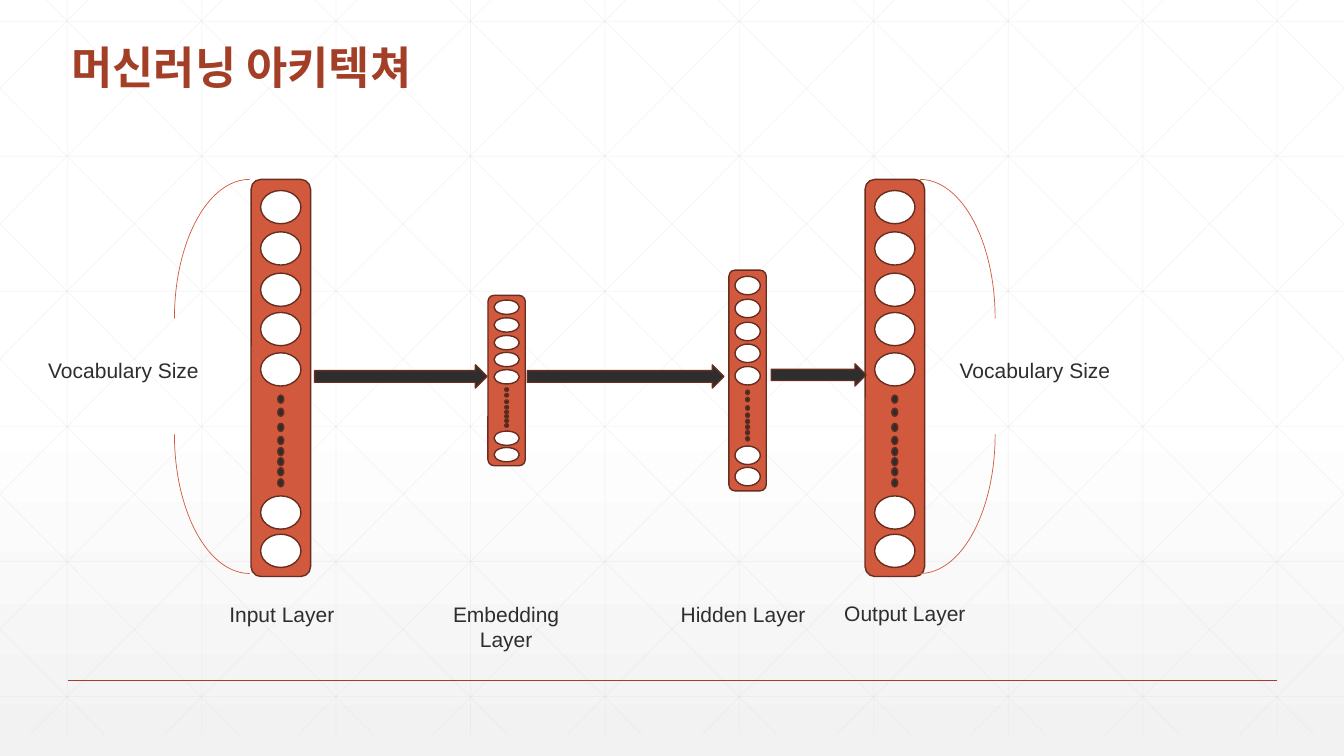
from lxml import etree
from pptx import Presentation
from pptx.dml.color import RGBColor
from pptx.enum.shapes import MSO_CONNECTOR, MSO_SHAPE
from pptx.enum.text import MSO_ANCHOR, PP_ALIGN
from pptx.oxml.ns import qn
from pptx.util import Inches, Pt

STRAIGHT = MSO_CONNECTOR.STRAIGHT
ARC, ARROW, OVAL = MSO_SHAPE.ARC, MSO_SHAPE.RIGHT_ARROW, MSO_SHAPE.OVAL
ROUNDED = MSO_SHAPE.ROUNDED_RECTANGLE
LEFT, CENTER = PP_ALIGN.LEFT, PP_ALIGN.CENTER
TOP, BOTTOM = MSO_ANCHOR.TOP, MSO_ANCHOR.BOTTOM

COLORS = {
    "white": "FFFFFF", "mist": "F2F2F2", "grid": "D9D9D9", "title": "A43F27",
    "layer": "D15A3E", "edge": "682D1F", "dark": "2D2E2D",
}
WIDTH, HEIGHT = 13.33, 7.5
GRID_TOP, GRID_BOTTOM, GRID_STEP = -0.21, 7.29, 4 / 3
DIAGONAL_RUN = 7.455

FULL_WIDTH, FULL_HEIGHT = 0.59, 3.94
NODE_OFFSETS = (0.11, 0.52, 0.93, 1.32, 1.72, 3.14, 3.52)
DOT_OFFSETS = (2.14, 2.27, 2.42, 2.55, 2.66, 2.76, 2.86, 2.97)
LAYERS = (
    (2.49, 1.78, 0.59, 3.94), (7.23, 2.68, 0.37, 2.19),
    (4.84, 2.93, 0.37, 1.69), (8.58, 1.78, 0.59, 3.94),
)
ARROWS = ((3.12, 3.62, 1.71, 0.23), (5.23, 3.62, 1.95, 0.23), (7.65, 3.61, 0.94, 0.22))
ARCS = ((1.73, 1.78, 180), (1.73, 2.93, 90), (8.38, 1.78, 270), (8.38, 2.93, 0))
LABELS = (
    ("Input Layer", (2.12, 5.92, 1.35, 0.34), CENTER),
    ("Embedding\nLayer", (4.21, 5.92, 1.62, 0.61), CENTER),
    ("Hidden Layer", (6.56, 5.92, 1.62, 0.35), CENTER),
    ("Output Layer", (8.08, 5.91, 1.79, 0.34), CENTER),
    ("Vocabulary Size", (0.38, 3.5, 2.33, 0.35), LEFT),
    ("Vocabulary Size", (9.42, 3.5, 2.33, 0.35), LEFT),
)


def color(name):
    """Return a named colour."""
    return RGBColor.from_string(COLORS[name])


def lengths(values):
    """Turn numbers into inches."""
    return [Inches(value) for value in values]


def add_line(page, points, name, weight, opacity=100):
    """Draw a straight line from x1, y1 to x2, y2."""
    line = page.shapes.add_connector(STRAIGHT, *lengths(points))
    line.line.color.rgb = color(name)
    line.line.width = Pt(weight)
    properties = line._element.spPr
    etree.SubElement(properties, qn("a:effectLst"))
    if opacity < 100:
        tint = properties.find(".//" + qn("a:srgbClr"))
        etree.SubElement(tint, qn("a:alpha")).set("val", str(opacity * 1000))


def add_figure(page, kind, frame, fill=None, edge="edge", weight=1):
    """Draw a preset shape, unfilled when no fill is named."""
    figure = page.shapes.add_shape(kind, *lengths(frame))
    figure.shadow.inherit = False
    if fill:
        figure.fill.solid()
        figure.fill.fore_color.rgb = color(fill)
    else:
        figure.fill.background()
    figure.line.color.rgb = color(edge)
    figure.line.width = Pt(weight)
    return figure


def add_text(page, text, frame, size, font, name, align=LEFT, anchor=TOP, bold=False):
    """Place a text box in one style."""
    box = page.shapes.add_textbox(*lengths(frame))
    box.text_frame.word_wrap = True
    box.text_frame.vertical_anchor = anchor
    box.text_frame.text = text
    for para in box.text_frame.paragraphs:
        para.alignment = align
        for span in para.runs:
            span.font.size = Pt(size)
            span.font.name = font
            span.font.bold = bold
            span.font.color.rgb = color(name)
            east_asian = etree.SubElement(span.font._element, qn("a:ea"))
            east_asian.set("typeface", font)
    return box


def add_layer(page, left, top, width, height):
    """Draw a network layer with its nodes and dots scaled to fit."""
    add_figure(page, ROUNDED, (left, top, width, height), "layer")
    across, down = width / FULL_WIDTH, height / FULL_HEIGHT
    for offsets, wide, high, fill in (
        (NODE_OFFSETS, 0.4, 0.33, "white"),
        (DOT_OFFSETS, 0.06, 0.08, "dark"),
    ):
        x = left + (width - wide * across) / 2
        for offset in offsets:
            frame = (x, top + offset * down, wide * across, high * down)
            add_figure(page, OVAL, frame, fill)


def add_arc(page, left, top, start):
    """Draw a quarter ellipse clockwise from the start angle."""
    arc = add_figure(page, ARC, (left, top, 1.49, 2.76), edge="layer", weight=0.5)
    arc.adjustments[0] = start * 0.6
    arc.adjustments[1] = (start + 90) % 360 * 0.6


def diagonal(start):
    """Return a falling grid line clipped to the sides of the slide."""
    slope = (GRID_BOTTOM - GRID_TOP) / DIAGONAL_RUN
    x1, x2 = max(start, 0), min(start + DIAGONAL_RUN, WIDTH)
    return x1, GRID_TOP + (x1 - start) * slope, x2, GRID_TOP + (x2 - start) * slope


def add_backdrop(page):
    """Paint the gradient and the faint grid."""
    fill = page.background.fill
    fill.gradient()
    fill.gradient_angle = 270
    for stop, name, position in zip(fill.gradient_stops, ("white", "mist"), (0.53, 1)):
        stop.color.rgb = color(name)
        stop.position = position
    columns = [2 / 3 + GRID_STEP * i for i in range(10)]
    rows = [0.21 + 1.34 * i for i in range(6)]
    grid = [(x, GRID_TOP, x, GRID_BOTTOM) for x in columns]
    grid += [(0, y, WIDTH, y) for y in rows]
    for i in range(-5, 10):
        x1, y1, x2, y2 = diagonal(0.25 + GRID_STEP * i)
        grid += [(x1, y1, x2, y2), (WIDTH - x1, y1, WIDTH - x2, y2)]
    for points in grid:
        add_line(page, points, "grid", 0.5, 25)
    add_line(page, (0.67, 6.75, 12.67, 6.75), "title", 1)


def main():
    """Build the architecture slide."""
    deck = Presentation()
    deck.slide_width, deck.slide_height = Inches(WIDTH), Inches(HEIGHT)
    page = deck.slides.add_slide(deck.slide_layouts[6])
    add_backdrop(page)
    title = add_text(page, "머신러닝 아키텍쳐", (0.61, -0.27, 10.5, 1.25), 32,
                     "Noto Sans CJK KR", "title", anchor=BOTTOM, bold=True)
    title.text_frame.paragraphs[0].line_spacing = 0.9
    for layer in LAYERS:
        add_layer(page, *layer)
    for frame in ARROWS:
        add_figure(page, ARROW, frame, "dark")
    for arc in ARCS:
        add_arc(page, *arc)
    for text, frame, align in LABELS:
        add_text(page, text, frame, 15, "Arial", "dark", align)
    deck.save("out.pptx")


if __name__ == "__main__":
    main()
